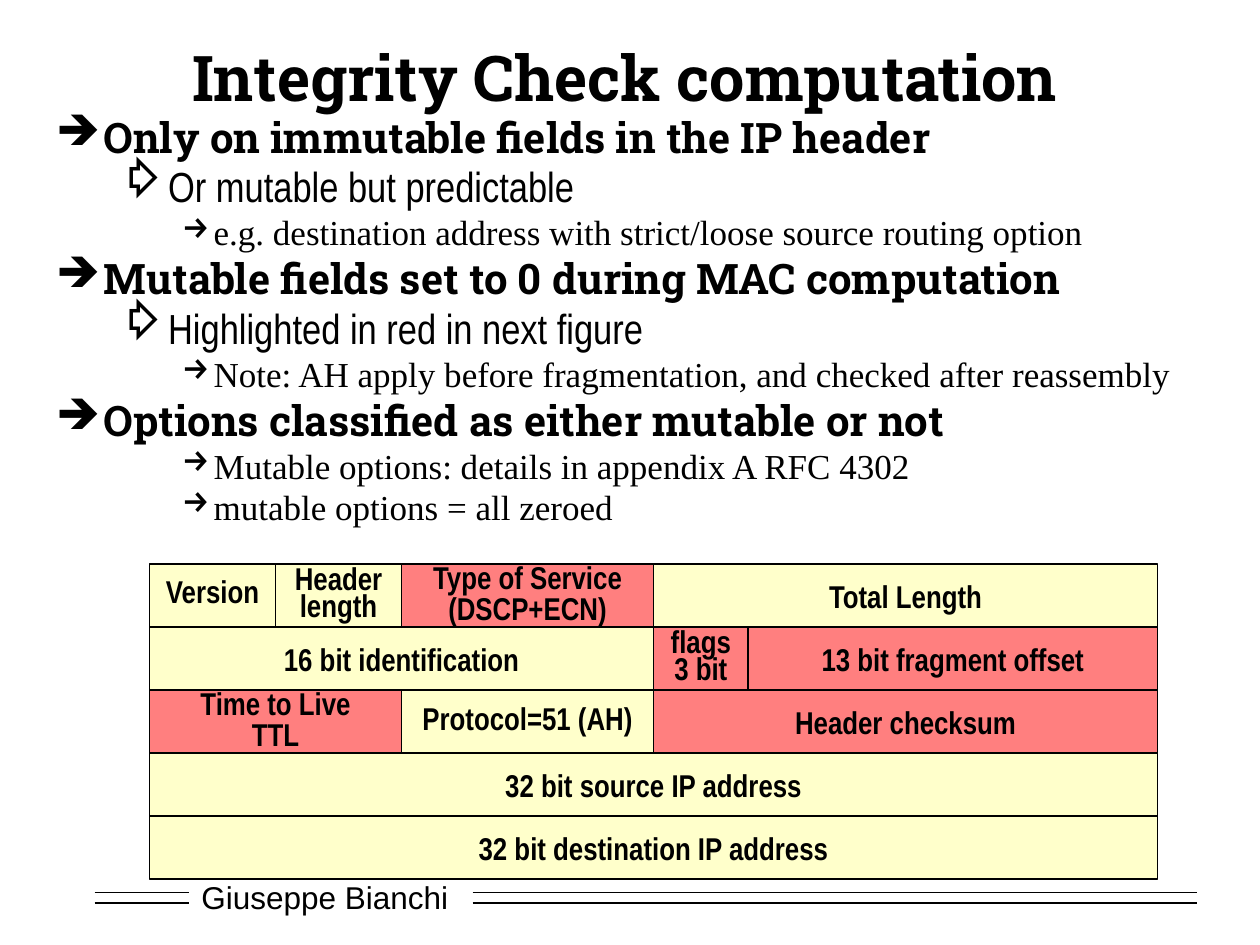
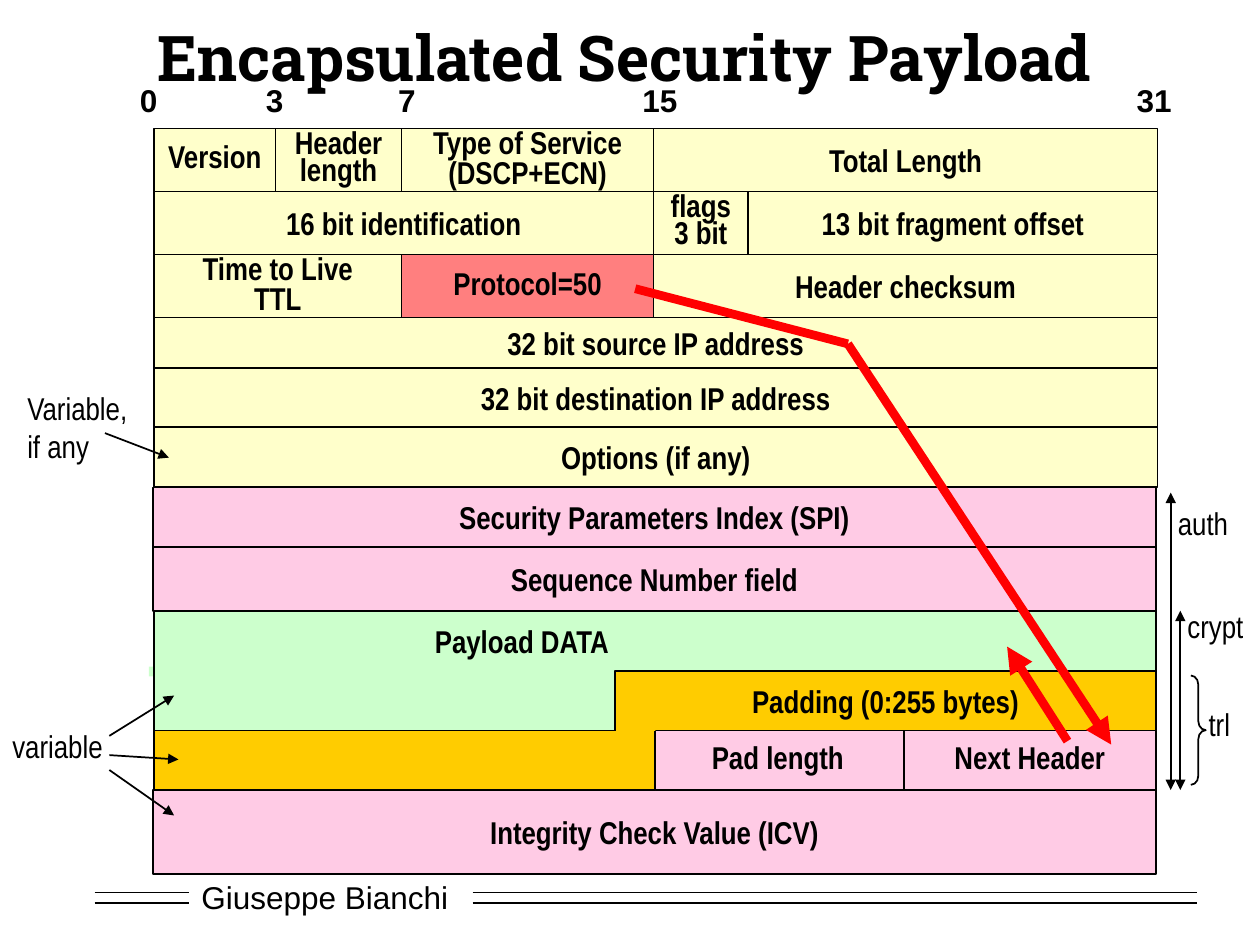
import itertools

import pptx
import pptx.util
import pptx.dml.color
import pptx.enum.shapes
import pptx.enum.text
import pptx.oxml.ns
from lxml import etree

Pt = pptx.util.Pt
MSO_SHAPE = pptx.enum.shapes.MSO_SHAPE
ALIGN = pptx.enum.text.PP_ALIGN
ANCHOR = pptx.enum.text.MSO_ANCHOR
qn = pptx.oxml.ns.qn

# ---- Shared style ----
COLORS = {
    "ink": "000000", "paper": "FFFFFF", "plain": "FFFF99", "red": "FF0000",
    "esp": "FF99CC", "payload": "CCFFCC", "padding": "FFCC00",
}
TINTED = {"plain", "red", "esp"}  # drawn half transparent
TITLE_FONT, NARROW, SANS, SERIF = "Roboto Slab", "Arial Narrow", "Arial", "Times New Roman"
AUTHOR = "Giuseppe Bianchi"
BIT_WIDTH = 18
FOOTER_RULES = [(54, 108), (270, 684)]
FOOTER_RULE_TOPS = [510, 516]

# ---- Header fields: text, first bit, end bit, line spacing ----
IP_ROWS = [
    [("Version", 0, 4, 0.7), ("Header\nlength", 4, 8, 0.7),
     ("Type of Service\n(DSCP+ECN)", 8, 16, 0.8), ("Total Length", 16, 32, 1)],
    [("16 bit identification", 0, 16, 1), ("flags\n3 bit", 16, 19, 0.7),
     ("13 bit fragment offset", 19, 32, 1)],
    [("Time to Live\nTTL", 0, 8, 0.8), ("Protocol={}", 8, 16, 0.8),
     ("Header checksum", 16, 32, 1)],
    [("32 bit source IP address", 0, 32, 1)],
    [("32 bit destination IP address", 0, 32, 1)],
]
OPTIONS_ROW = [("Options (if any)", 0, 32, 1)]
ESP_HEAD_ROWS = [
    [("Security Parameters Index (SPI)", 0, 32, 1)],
    [("Sequence Number field", 0, 32, 1)],
]
ESP_TAIL_ROWS = [
    [("Pad length", 16, 24, 0.8), ("Next Header", 24, 32, 0.8)],
    [("Integrity Check Value (ICV)", 0, 32, 1)],
]

# ---- Slide 1 content ----
MUTABLE = {"Type of Service\n(DSCP+ECN)", "flags\n3 bit", "13 bit fragment offset",
           "Time to Live\nTTL", "Header checksum"}
# bullet, left margin, hanging indent, font, size, bold
LEVELS = [
    ("➔", 27, 27, TITLE_FONT, 24, True),
    ("⇨", 58.5, 22.5, NARROW, 24, False),
    ("→", 90, 18, SERIF, 20, False),
]
INTEGRITY_POINTS = [
    (0, "Only on immutable fields in the IP header"),
    (1, "Or mutable but predictable"),
    (2, "e.g. destination address with strict/loose source routing option"),
    (0, "Mutable fields set to 0 during MAC computation"),
    (1, "Highlighted in red in next figure"),
    (2, "Note: AH apply before fragmentation, and checked after reassembly"),
    (0, "Options classified as either mutable or not"),
    (2, "Mutable options: details in appendix A RFC 4302"),
    (2, "mutable options = all zeroed"),
]

# ---- Slide 2 content ----
ESP_HEIGHTS = [36, 36, 36, 29, 33.5, 34.5, 34, 36.5, 34.5, 34, 34, 48]
BIT_MARKS = [("0", 85, 24.5), ("3", 157, 24.5), ("7", 232.5, 24.5),
             ("15", 372, 34.5), ("31", 654.5, 34.5)]
SIDE_LABELS = [  # text, left, top, width, height
    ("variable", 0, 412, 66, 29), ("Variable,\nif any", 8.5, 219, 73, 50),
    ("auth", 666, 284.5, 43, 29), ("crypt", 671.5, 343.5, 47, 29),
    ("trl", 683.5, 399.5, 26.5, 29),
]
POINTERS = [
    (62.5, 440, 99.5, 466), (62.5, 431.5, 102, 434),
    (62.5, 420.5, 99.5, 397.5), (60, 247.5, 96.5, 261.5),
]
COVERAGE_SPANS = [(669, 281.5, 451.5), (674.5, 349, 451.5)]
# start, end, arrowhead at the end
NEXT_HEADER_LINKS = [
    (484.5, 196.5, 635, 425.5, True),
    (363, 165, 484.5, 196.5, False),
    (610, 423.5, 575.5, 369.5, True),
]


# ---- Helpers ----
def rgb(name):
    return pptx.dml.color.RGBColor.from_string(COLORS[name])


def write(shape, text, font, size, bold=False, align=ALIGN.LEFT, spacing=None,
          wrap=False, anchor=ANCHOR.TOP):
    frame = shape.text_frame
    frame.word_wrap = wrap
    frame.vertical_anchor = anchor
    for i, line in enumerate(text.split("\n")):
        paragraph = frame.paragraphs[0] if i == 0 else frame.add_paragraph()
        paragraph.text = line
        paragraph.alignment = align
        if spacing:
            paragraph.line_spacing = spacing
        style(paragraph, font, size, bold)


def style(paragraph, font, size, bold):
    paragraph.font.name = font
    paragraph.font.size = Pt(size)
    paragraph.font.bold = bold
    paragraph.font.color.rgb = rgb("ink")


def add_text(slide, text, box, *args, **options):
    label = slide.shapes.add_textbox(*map(Pt, box))
    write(label, text, *args, **options)


def add_block(slide, box, color, outline=True):
    block = slide.shapes.add_shape(MSO_SHAPE.RECTANGLE, *map(Pt, box))
    block.shadow.inherit = False
    block.fill.solid()
    block.fill.fore_color.rgb = rgb(color)
    if color in TINTED:
        fill = block.fill._xPr.find(qn("a:solidFill"))
        etree.SubElement(fill[0], qn("a:alpha")).set("val", "50000")
    if outline:
        block.line.color.rgb = rgb("ink")
        block.line.width = Pt(1)
    else:
        block.line.fill.background()
    return block


def add_field(slide, text, box, color, spacing=1):
    field = add_block(slide, box, color)
    write(field, text, NARROW, 18, True, ALIGN.CENTER, spacing, anchor=ANCHOR.MIDDLE)
    return field


def add_line(slide, x1, y1, x2, y2, color="ink", width=1, heads=()):
    line = slide.shapes.add_connector(
        pptx.enum.shapes.MSO_CONNECTOR.STRAIGHT, Pt(x1), Pt(y1), Pt(x2), Pt(y2))
    line.line.color.rgb = rgb(color)
    line.line.width = Pt(width)
    for end in heads:
        etree.SubElement(line.line._ln, qn(f"a:{end}")).set("type", "triangle")
    etree.SubElement(line._element.spPr, qn("a:effectLst"))


def add_rows(slide, rows, tops, heights, left, origin=85.5, red=(), base="plain"):
    """Place each field by its bit range; the first column starts at left."""
    for row, top, height in zip(rows, tops, heights):
        for text, first, end, spacing in row:
            x = max(left, origin + BIT_WIDTH * first)
            width = origin + BIT_WIDTH * end - x
            add_field(slide, text, (x, top, width, height),
                      "red" if text in red else base, spacing)


def ip_rows(protocol):
    return [[(text.format(protocol), *rest) for text, *rest in row] for row in IP_ROWS]


def new_slide(deck, title, title_top):
    slide = deck.slides.add_slide(deck.slide_layouts[6])
    footer = add_block(slide, (108, 498, 156, 29), "paper", outline=False)
    write(footer, AUTHOR, SANS, 18, wrap=True, anchor=ANCHOR.MIDDLE)
    for y, (start, end) in itertools.product(FOOTER_RULE_TOPS, FOOTER_RULES):
        add_line(slide, start, y, end, y)
    add_text(slide, title, (54, title_top, 606, 51), TITLE_FONT, 36, True,
             ALIGN.CENTER, wrap=True, anchor=ANCHOR.MIDDLE)
    return slide


# ---- Slide 1 ----
def build_integrity(deck):
    slide = new_slide(deck, "Integrity Check computation", 18)
    frame = slide.shapes.add_textbox(Pt(25), Pt(65.5), Pt(666), Pt(258)).text_frame
    frame.word_wrap = True
    for i, (level, text) in enumerate(INTEGRITY_POINTS):
        bullet, margin, hang, font, size, bold = LEVELS[level]
        paragraph = frame.paragraphs[0] if i == 0 else frame.add_paragraph()
        paragraph.text = text
        paragraph.level = level
        properties = paragraph._p.get_or_add_pPr()
        properties.set("marL", str(Pt(margin)))
        properties.set("indent", str(-Pt(hang)))
        etree.SubElement(properties, qn("a:buChar")).set("char", bullet)
        paragraph.line_spacing = 0.8
        paragraph.space_before = Pt(round(size * 0.23, 1))
        style(paragraph, font, size, bold)
    tops = [322.5 + 36 * i for i in range(len(IP_ROWS))]
    add_rows(slide, ip_rows("51 (AH)"), tops, [36] * len(tops), 85, red=MUTABLE)


# ---- Slide 2 ----
def build_esp(deck):
    slide = new_slide(deck, "Encapsulated Security Payload", 6.5)
    for mark, left, width in BIT_MARKS:
        add_text(slide, mark, (left - 12.25, 43, width, 29), SANS, 18, True, ALIGN.CENTER)

    # Header, then the ESP rows around the payload
    tops = list(itertools.accumulate(ESP_HEIGHTS, initial=73.5))
    left, right = 88, 660.5
    add_rows(slide, ip_rows("50") + [OPTIONS_ROW], tops, ESP_HEIGHTS, left,
             red={"Protocol=50"})
    for rows, first in ((ESP_HEAD_ROWS, 6), (ESP_TAIL_ROWS, 10)):
        add_rows(slide, rows, tops[first:], ESP_HEIGHTS[first:], left - 0.5,
                 origin=84.5, base="esp")

    # Payload and padding, each spanning two rows with the seam covered
    payload_top, padding_top, trailer_top, icv_top = tops[8:12]
    step, pad_end = 351.5, 374.5
    payload = add_field(slide, "Payload DATA",
                        (left, payload_top, right - left, padding_top - payload_top),
                        "payload")
    payload.text_frame.margin_left = 0
    payload.text_frame.margin_right = Pt(152)
    row_height = trailer_top - padding_top
    add_block(slide, (left, padding_top, step - left, row_height), "payload")
    add_block(slide, (85, padding_top - 2.5, 351, 5.5), "payload", outline=False)
    add_line(slide, left, 369.5, left, 406)
    add_field(slide, "Padding (0:255 bytes)",
              (step, padding_top, right - step, row_height), "padding")
    add_block(slide, (left, trailer_top, pad_end - left, icv_top - trailer_top), "padding")
    add_block(slide, (step, trailer_top - 8.5, pad_end - step, 17), "padding", outline=False)
    add_line(slide, step, 394.5, step, trailer_top)
    add_line(slide, pad_end, trailer_top, pad_end, 440)

    # Annotations
    for pointer in POINTERS:
        add_line(slide, *pointer, heads=["tailEnd"])
    for x, top, bottom in COVERAGE_SPANS:
        add_line(slide, x, top, x, bottom, heads=["headEnd", "tailEnd"])
    for *ends, arrow in NEXT_HEADER_LINKS:
        add_line(slide, *ends, color="red", width=5, heads=["tailEnd"] if arrow else [])
    trailer_brace = slide.shapes.add_shape(
        MSO_SHAPE.RIGHT_BRACE, Pt(680.5), Pt(386), Pt(8.5), Pt(62.5))
    trailer_brace.shadow.inherit = False
    trailer_brace.fill.background()
    trailer_brace.line.color.rgb = rgb("ink")
    trailer_brace.line.width = Pt(1)
    trailer_brace.adjustments[0] = 0.61
    for text, *box in SIDE_LABELS:
        add_text(slide, text, box, NARROW, 18)


def main():
    deck = pptx.Presentation()
    deck.slide_width, deck.slide_height = Pt(720), Pt(540)
    build_integrity(deck)
    build_esp(deck)
    deck.save("out.pptx")


if __name__ == "__main__":
    main()
